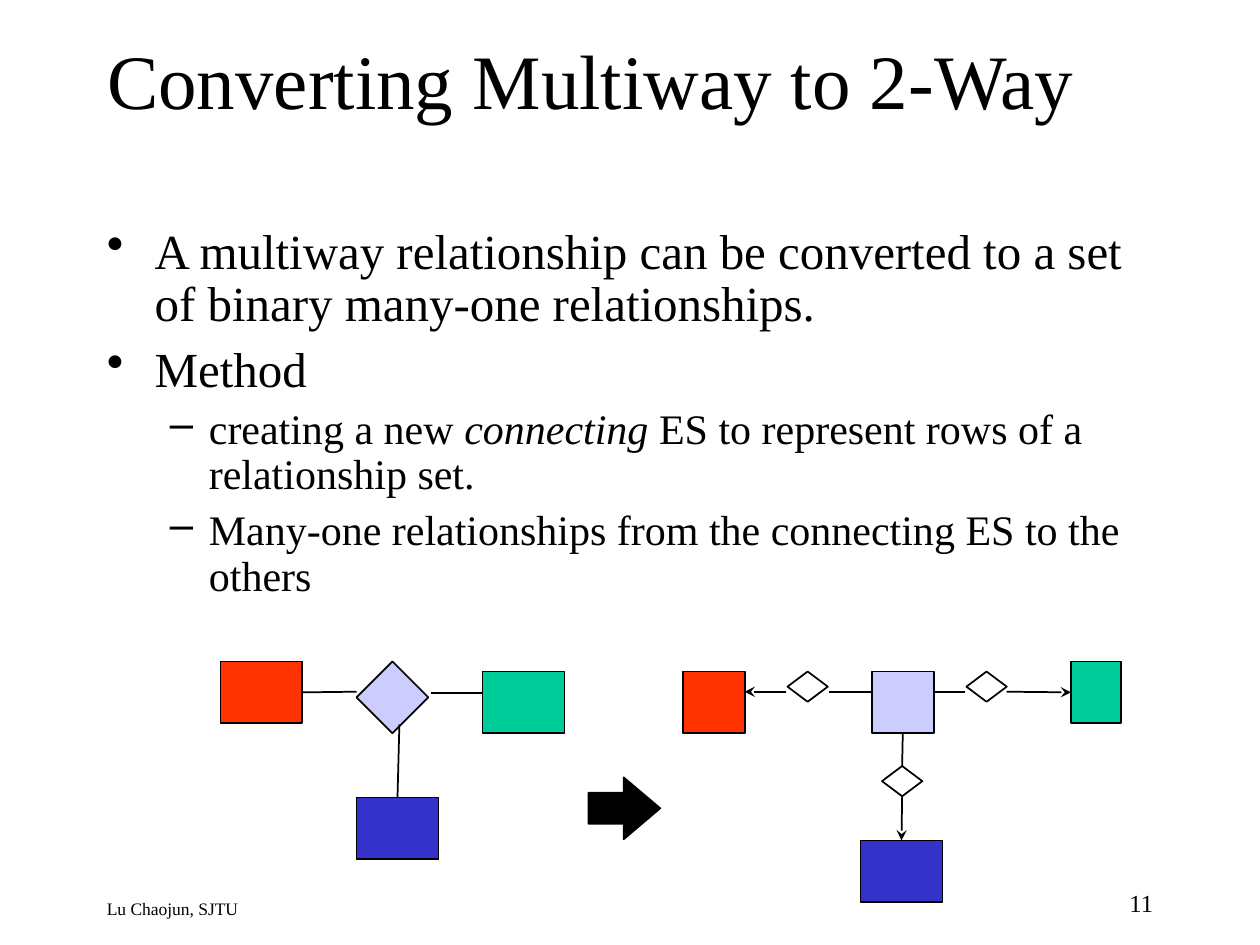
from dataclasses import dataclass

from pptx import Presentation
from pptx.dml.color import RGBColor
from pptx.enum.shapes import MSO_CONNECTOR, MSO_SHAPE
from pptx.enum.text import MSO_ANCHOR, MSO_AUTO_SIZE, PP_ALIGN
from pptx.oxml.ns import qn
from pptx.util import Pt
from lxml.etree import SubElement

PX = 9144  # EMU per px, 100 px to the inch
TOP, LEFT, BOTTOM, RIGHT = range(4)


@dataclass(frozen=True)
class Theme:
    font: str = "Times New Roman"
    ink: str = "000000"
    paper: str = "FFFFFF"
    red: str = "FF3300"
    green: str = "00CC99"
    blue: str = "3333CC"
    lilac: str = "CCCCFF"
    title: int = 44
    body: tuple = (28, 24)
    footer: int = 10
    number: int = 14
    line: int = 1


THEME = Theme()

# level, then runs of (text, italic)
BULLETS = [
    (0, [("A multiway relationship can be converted to a set of binary "
          "many-one relationships.", False)]),
    (0, [("Method", False)]),
    (1, [("creating a new ", False), ("connecting", True),
         (" ES to represent rows of a relationship set.", False)]),
    (1, [("Many-one relationships from the connecting ES to the others", False)]),
]
# per level: bullet, left margin px, hanging indent px, points before
LEVELS = [("•", 38, -38, 7), ("–", 81, -31, 6)]


def px(*lengths):
    return [round(length * PX) for length in lengths]


def color(code):
    return RGBColor.from_string(code)


def set_font(font, size):
    font.name = THEME.font
    font.size = Pt(size)
    font.color.rgb = color(THEME.ink)


def add_title(page, text, place):
    title = page.shapes.title
    title.left, title.top, title.width, title.height = px(*place)
    frame = title.text_frame
    frame.text = text
    frame.auto_size = MSO_AUTO_SIZE.NONE
    frame.vertical_anchor = MSO_ANCHOR.MIDDLE
    para = frame.paragraphs[0]
    para.alignment = PP_ALIGN.LEFT
    set_font(para.font, THEME.title)


def add_text_frame(page, place):
    frame = page.shapes.add_textbox(*px(*place)).text_frame
    frame.word_wrap = True
    return frame


def add_label(page, text, place, size, align=PP_ALIGN.LEFT):
    para = add_text_frame(page, place).paragraphs[0]
    para.text = text
    para.alignment = align
    set_font(para.font, size)


def add_bullets(page, place):
    frame = add_text_frame(page, place)
    for index, (level, spans) in enumerate(BULLETS):
        para = frame.add_paragraph() if index else frame.paragraphs[0]
        mark, margin, indent, before = LEVELS[level]
        para.level = level
        para.line_spacing = 0.9
        para.space_before = Pt(before if index else 0)
        properties = para._p.get_or_add_pPr()
        properties.set("marL", str(margin * PX))
        properties.set("indent", str(indent * PX))
        SubElement(properties, qn("a:buChar"), char=mark)
        set_font(para.font, THEME.body[level])
        for text, italic in spans:
            span = para.add_run()
            span.text = text
            if italic:
                span.font.italic = True


def add_figure(page, kind, place, fill):
    figure = page.shapes.add_shape(kind, *px(*place))
    figure.shadow.inherit = False
    figure.fill.solid()
    figure.fill.fore_color.rgb = color(fill)
    figure.line.color.rgb = color(THEME.ink)
    figure.line.width = Pt(THEME.line)
    return figure


def add_entity(page, x, y, fill, width=65):
    return add_figure(page, MSO_SHAPE.RECTANGLE, (x, y, width, 49), fill)


def add_relationship(page, x, y, width=32, height=24, fill=THEME.paper):
    return add_figure(page, MSO_SHAPE.DIAMOND, (x, y, width, height), fill)


def add_link(page, start, end, begin=None, finish=None, arrow=False):
    """Draw a line; begin and finish are (figure, side) joints."""
    link = page.shapes.add_connector(MSO_CONNECTOR.STRAIGHT, *px(*start, *end))
    link.line.color.rgb = color(THEME.ink)
    link.line.width = Pt(THEME.line)
    SubElement(link._element.spPr, qn("a:effectLst"))
    if arrow:
        SubElement(link.line._get_or_add_ln(), qn("a:tailEnd"), type="stealth")
    if begin:
        link.begin_connect(*begin)
    if finish:
        link.end_connect(*finish)


def draw_multiway(page):
    red = add_entity(page, 175, 525, THEME.red)
    blue = add_entity(page, 283, 633, THEME.blue)
    add_entity(page, 383, 533, THEME.green)
    add_relationship(page, 283, 525, 57, 57, THEME.lilac)
    add_link(page, (241, 549), (283, 549), begin=(red, RIGHT))
    add_link(page, (342, 550), (383, 550))
    add_link(page, (317, 575), (317, 634), finish=(blue, TOP))


def draw_binary(page):
    green = add_entity(page, 850, 525, THEME.green, width=40)
    blue = add_entity(page, 683, 667, THEME.blue)
    center = add_entity(page, 692, 533, THEME.lilac, width=49)
    add_entity(page, 542, 533, THEME.red, width=49)
    add_relationship(page, 625, 533)
    add_relationship(page, 767, 533)
    lower = add_relationship(page, 700, 608)
    add_link(page, (624, 549), (591, 549), arrow=True)
    add_link(page, (658, 549), (691, 549))
    add_link(page, (766, 549), (741, 549))
    add_link(page, (799, 549), (849, 549), finish=(green, LEFT), arrow=True)
    add_link(page, (717, 583), (716, 608), (center, BOTTOM), (lower, TOP))
    add_link(page, (716, 633), (716, 666), (lower, BOTTOM), (blue, TOP), arrow=True)


def main():
    deck = Presentation()
    deck.slide_width, deck.slide_height = px(1000, 750)
    page = deck.slides.add_slide(deck.slide_layouts[5])
    add_label(page, "Lu Chaojun, SJTU", (75, 708, 580, 25), THEME.footer)
    add_label(page, "11", (717, 700, 208, 33), THEME.number, PP_ALIGN.RIGHT)
    add_title(page, "Converting Multiway to 2-Way", (75, 0, 850, 125))
    add_bullets(page, (75, 175, 850, 333))
    draw_multiway(page)
    draw_binary(page)
    arrow = add_figure(page, MSO_SHAPE.RIGHT_ARROW, (467, 617, 57, 49), THEME.ink)
    arrow.adjustments[1] = 0.59
    deck.save("out.pptx")


if __name__ == "__main__":
    main()
